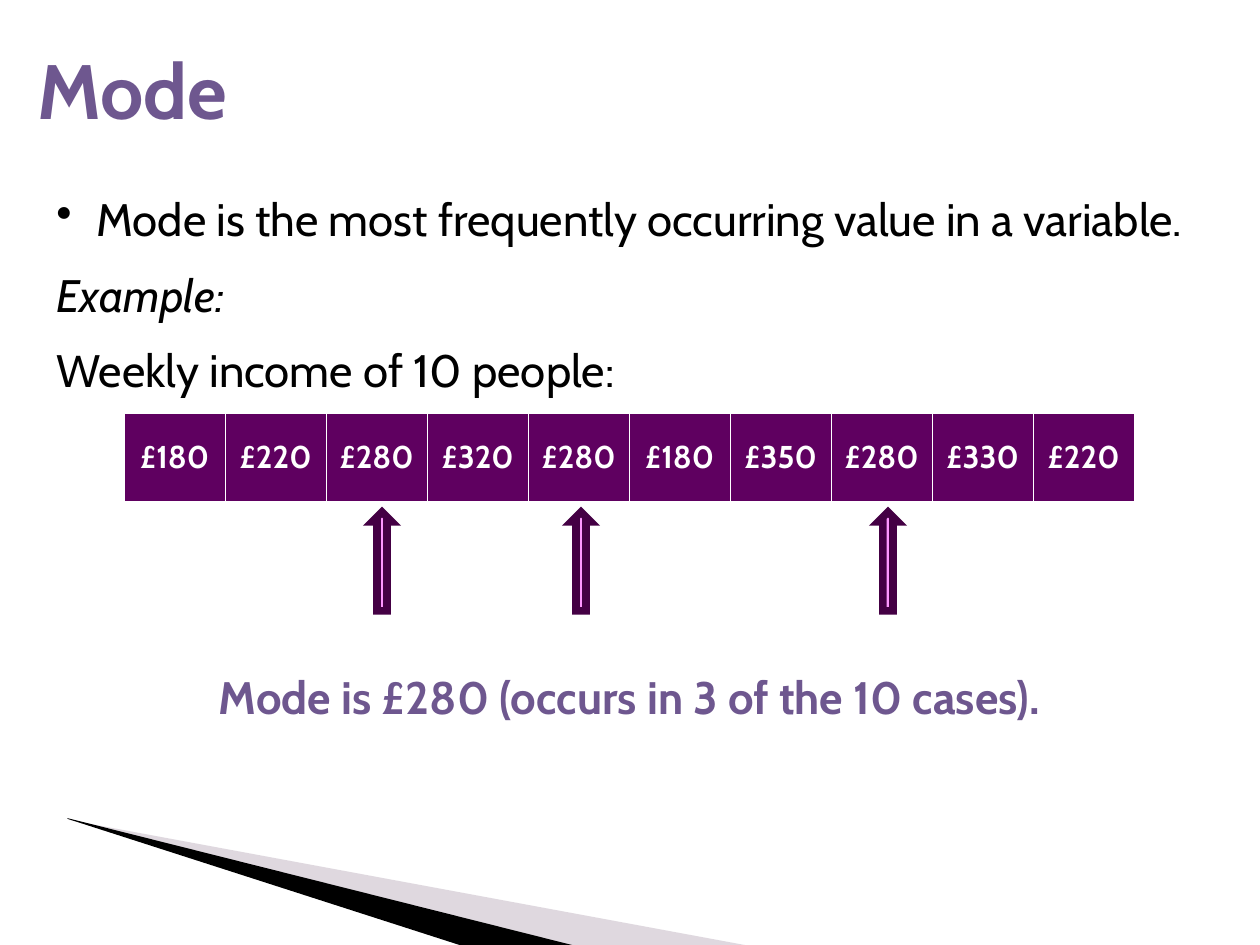
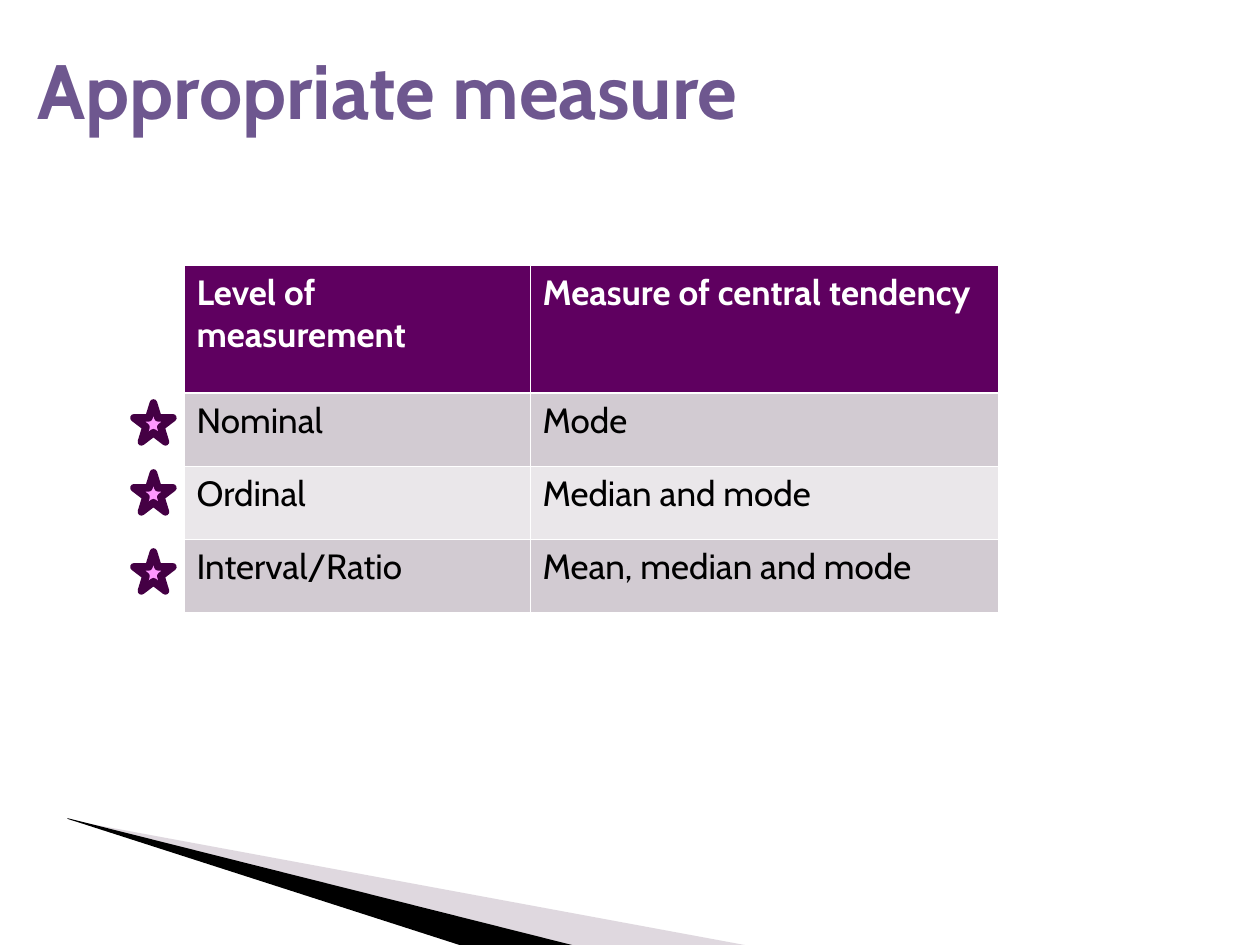
from lxml.etree import SubElement
from pptx import Presentation
from pptx.dml.color import RGBColor
from pptx.enum.shapes import MSO_SHAPE as Shape
from pptx.enum.text import MSO_ANCHOR as Anchor, PP_ALIGN as Align
from pptx.oxml.ns import qn
from pptx.util import Pt

PX = 914400 / 126
FONT = "Cabin"
COLORS = {
    "title": "6E578F", "text": "000000", "white": "FFFFFF",
    "header": "5F0060", "row_dark": "D2CBD2", "row_light": "EAE7EA",
    "marker": "FE97FF", "marker_line": "440044",
    "wedge_light": "AF9FB0", "wedge_dark": "000000",
}
THIN, THICK = 0.45, 1.47


def px(length):
    """Turn px into EMU."""
    return round(length * PX)


def rgb(name):
    """Look up a named colour."""
    return RGBColor.from_string(COLORS[name])


def style(paragraph, size, color="text", bold=False, italic=False, align=Align.LEFT):
    """Set the font and alignment of a paragraph."""
    font = paragraph.font
    font.name, font.size, font.bold, font.italic = FONT, Pt(size), bold, italic
    font.color.rgb = rgb(color)
    paragraph.alignment = align


def add_text(slide, box, lines, anchor=Anchor.TOP, spacing=0):
    """Add a wrapped text box with one styled paragraph per line."""
    frame = slide.shapes.add_textbox(*map(px, box)).text_frame
    frame.word_wrap = True
    frame.vertical_anchor = anchor
    for index, (text, look) in enumerate(lines):
        paragraph = frame.add_paragraph() if index else frame.paragraphs[0]
        paragraph.text = text
        paragraph.space_before = paragraph.space_after = Pt(spacing)
        style(paragraph, **look)
    return frame


def add_bullet(paragraph, indent):
    """Give a paragraph a hanging round bullet."""
    properties = paragraph._p.get_or_add_pPr()
    properties.set("marL", str(px(indent)))
    properties.set("indent", str(-px(indent)))
    SubElement(properties, qn("a:buChar"), char="•")


def add_wedge(slide, points, color, alpha=100):
    """Draw one filled blade of the corner decoration."""
    builder = slide.shapes.build_freeform(*points[0], scale=PX)
    builder.add_line_segments(points[1:], close=True)
    wedge = builder.convert_to_shape()
    wedge.shadow.inherit = False
    wedge.line.fill.background()
    wedge.fill.solid()
    wedge.fill.fore_color.rgb = rgb(color)
    if alpha < 100:
        tint = wedge._element.spPr.find(qn("a:solidFill"))[0]
        SubElement(tint, qn("a:alpha"), val=str(alpha * 1000))


def add_base(deck, title):
    """Add a blank slide with the shared decoration and title."""
    slide = deck.slides.add_slide(deck.slide_layouts[6])
    add_wedge(slide, [(69, 820), (750, 946), (575, 946), (69, 819)], "wedge_light", 40)
    add_wedge(slide, [(67, 818), (576, 946), (469, 948), (68, 819)], "wedge_dark")
    add_text(slide, (25, 16, 863, 145),
             [(title, dict(size=44, color="title", bold=True))], Anchor.MIDDLE)
    return slide


def add_borders(cell, top, bottom):
    """Draw white borders round a table cell."""
    properties = cell._tc.get_or_add_tcPr()
    for side, width in (("L", THIN), ("R", THIN), ("T", top), ("B", bottom)):
        line = SubElement(properties, qn(f"a:ln{side}"), w=str(Pt(width)))
        fill = SubElement(line, qn("a:solidFill"))
        SubElement(fill, qn("a:srgbClr"), val=COLORS["white"])


def add_grid(slide, left, top, widths, heights, rows, size,
             anchor=Anchor.TOP, align=Align.LEFT):
    """Add a table with a dark header row and alternating body rows."""
    box = (left, top, sum(widths), sum(heights))
    table = slide.shapes.add_table(len(rows), len(widths), *map(px, box)).table
    for column, width in zip(table.columns, widths):
        column.width = px(width)
    for r, (height, values) in enumerate(zip(heights, rows)):
        table.rows[r].height = px(height)
        header = r == 0
        fill = "header" if header else "row_dark" if r % 2 else "row_light"
        for c, value in enumerate(values):
            cell = table.cell(r, c)
            cell.text = value
            cell.vertical_anchor = anchor
            add_borders(cell, THICK if r == 1 else THIN, THICK if header else THIN)
            cell.fill.solid()
            cell.fill.fore_color.rgb = rgb(fill)
            style(cell.text_frame.paragraphs[0], size,
                  "white" if header else "text", bold=header, align=align)


def add_marker(slide, kind, box, mitred=False):
    """Add a pink marker shape with a heavy dark outline."""
    marker = slide.shapes.add_shape(kind, *map(px, box))
    marker.shadow.inherit = False
    marker.fill.solid()
    marker.fill.fore_color.rgb = rgb("marker")
    marker.line.color.rgb = rgb("marker_line")
    marker.line.width = Pt(4.34)
    if mitred:
        outline = marker._element.spPr.find(qn("a:ln"))
        SubElement(outline, qn("a:miter"), lim="800000")


def build_mode(deck):
    """Build the slide that defines the mode with an income example."""
    slide = add_base(deck, "Mode")
    definition = add_text(slide, (44, 185, 1191, 225), [
        ("Mode is the most frequently occurring value in a variable.", dict(size=26)),
        ("Example:", dict(size=26, italic=True)),
        ("Weekly income of 10 people:", dict(size=26)),
    ], spacing=6)
    add_bullet(definition.paragraphs[0], 40)
    incomes = [180, 220, 280, 320, 280, 180, 350, 280, 330, 220]
    add_grid(slide, 124, 413, [101] * len(incomes), [89],
             [[f"£{income}" for income in incomes]], 18, Anchor.MIDDLE, Align.CENTER)
    for left in (372, 571, 878):
        add_marker(slide, Shape.UP_ARROW, (left, 512, 20, 99), mitred=True)
    add_text(slide, (130, 663, 1000, 80), [
        ("Mode is £280 (occurs in 3 of the 10 cases).",
         dict(size=26, color="title", bold=True, align=Align.CENTER)),
    ], spacing=6)


def build_measures(deck):
    """Build the slide that matches measures to levels of measurement."""
    slide = add_base(deck, "Appropriate measure")
    add_grid(slide, 184, 265, [346, 468], [128, 73, 73, 73], [
        ("Level of measurement", "Measure of central tendency"),
        ("Nominal", "Mode"),
        ("Ordinal", "Median and mode"),
        ("Interval/Ratio", "Mean, median and mode"),
    ], 20)
    for top in (403, 473, 552):
        add_marker(slide, Shape.STAR_5_POINT, (134, top, 39, 39))


def main():
    """Build and save the deck."""
    deck = Presentation()
    deck.slide_width, deck.slide_height = px(1260), px(945)
    build_mode(deck)
    build_measures(deck)
    deck.save("out.pptx")


if __name__ == "__main__":
    main()
